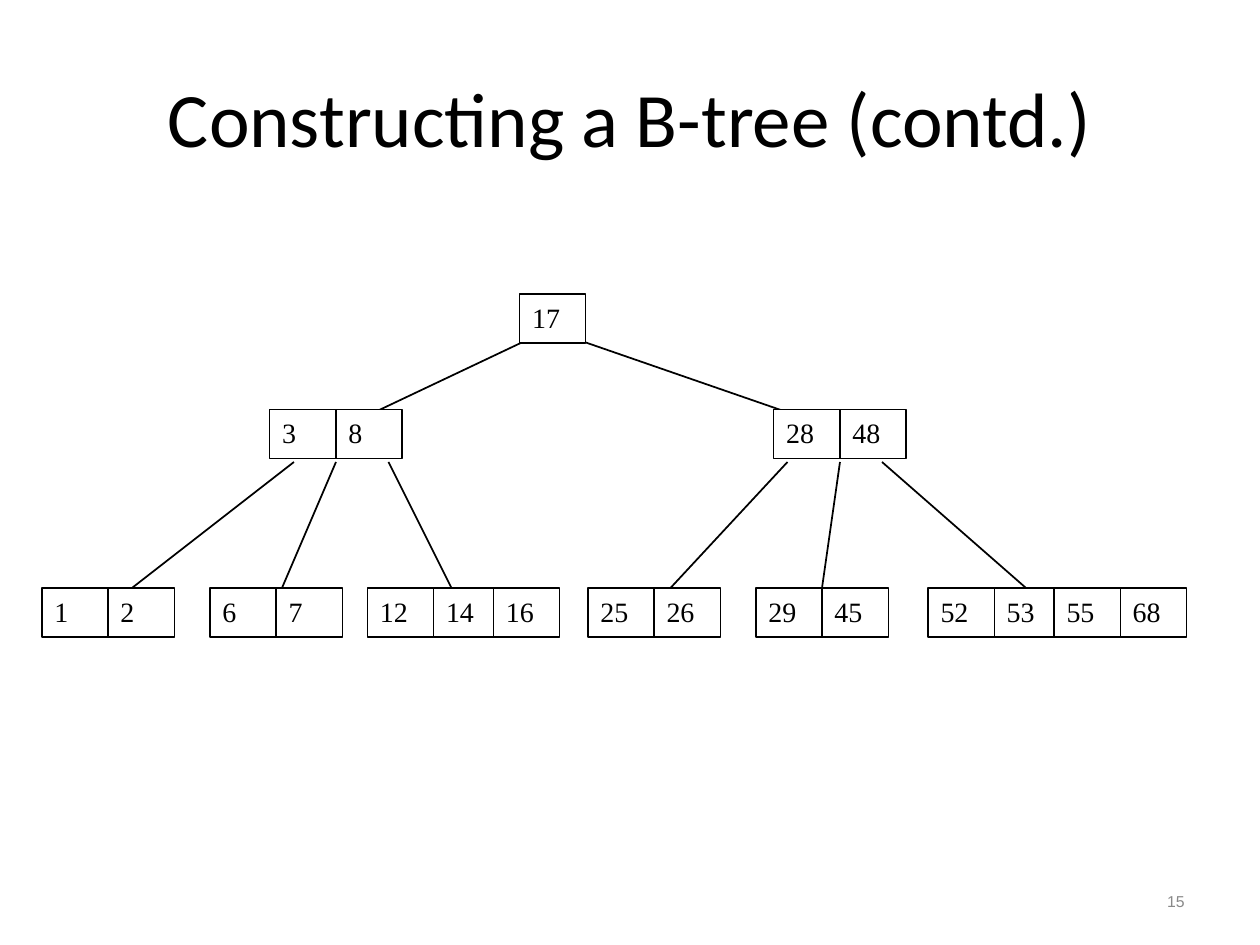
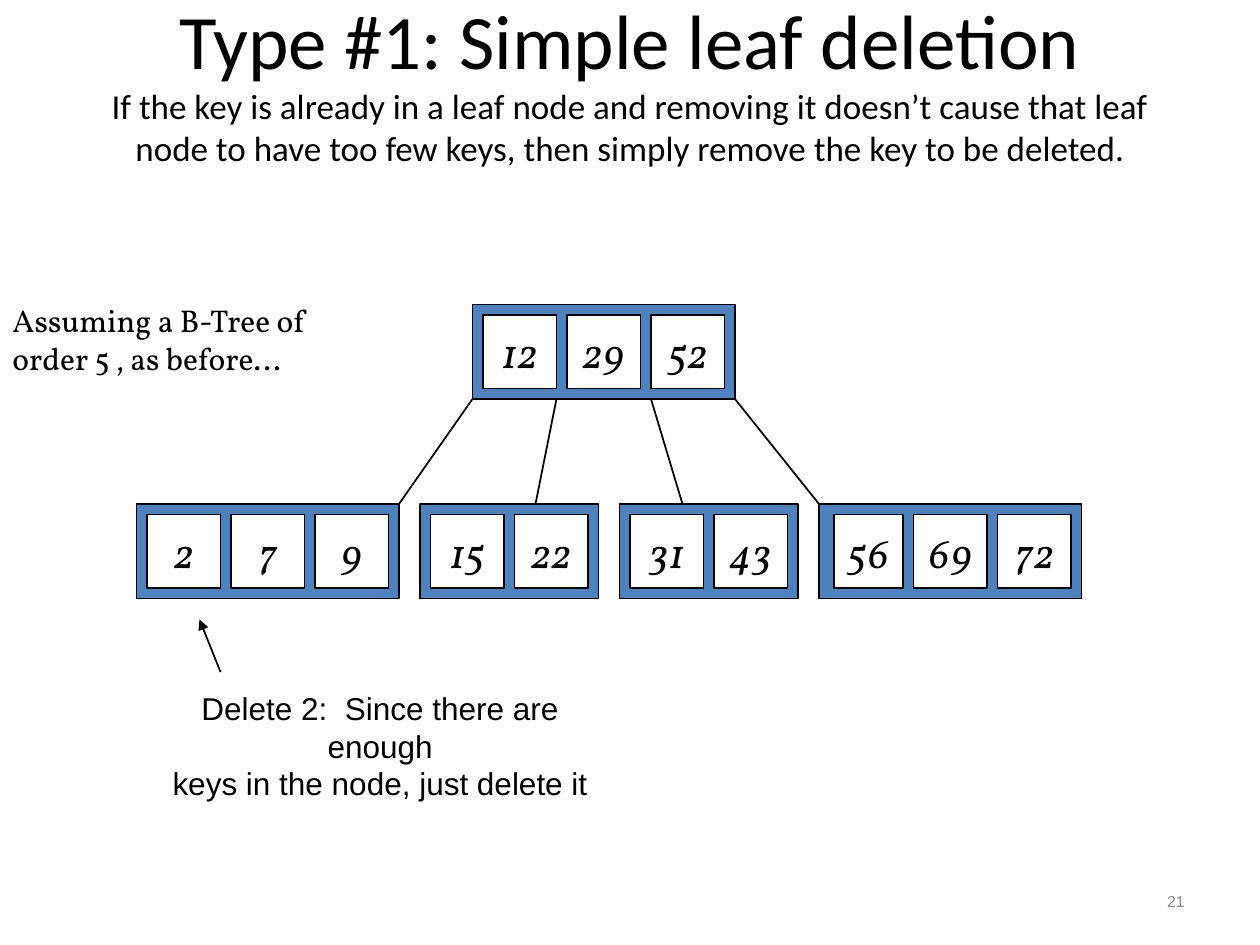
import dataclasses

import pptx
import pptx.dml.color
import pptx.enum.shapes
import pptx.enum.text
import pptx.oxml
import pptx.oxml.ns
import pptx.util

ALIGN = pptx.enum.text.PP_ALIGN
ANCHOR = pptx.enum.text.MSO_ANCHOR
RECTANGLE = pptx.enum.shapes.MSO_SHAPE.RECTANGLE
STRAIGHT = pptx.enum.shapes.MSO_CONNECTOR.STRAIGHT


@dataclasses.dataclass(frozen=True)
class Theme:
    ink: str = "000000"
    paper: str = "FFFFFF"
    frame: str = "4F81BD"
    muted: str = "898989"
    title_font: str = "Calibri"
    key_font: str = "Times New Roman"
    accent_font: str = "Vollkorn"
    plain_font: str = "Arial"
    title_size: int = 44
    subtitle_size: int = 20
    framed_key_size: int = 24
    note_size: int = 18
    key_size: int = 16
    number_size: int = 9
    line_width: float = 1
    cell_line_width: float = 0.75


THEME = Theme()

# The slide is a grid of 120 columns and 90 rows, 12 to the inch
COLUMNS, ROWS = 120, 90

# Plain nodes: keys stand in pairs, and pairs start every 12 columns
CELL_WIDTH, CELL_HEIGHT, PAIR_PITCH = 6.3, 4.67, 12

# Framed nodes: square keys with a gap of one unit around each
KEY_SIDE, KEY_GAP = 7, 1
KEY_PITCH = KEY_SIDE + KEY_GAP
FRAME_HEIGHT = KEY_SIDE + 2 * KEY_GAP


def grid(*units):
    return [pptx.util.Inches(unit / 12) for unit in units]


def color(value):
    return pptx.dml.color.RGBColor.from_string(value)


def format_runs(paragraph, font, size, ink=THEME.ink, italic=False):
    for run in paragraph.runs:
        run.font.name = font
        run.font.size = pptx.util.Pt(size)
        run.font.color.rgb = color(ink)
        run.font.italic = italic


def set_text(shape, text, font, size, align=ALIGN.LEFT, anchor=ANCHOR.MIDDLE,
             wrap=True, **style):
    frame = shape.text_frame
    frame.text = text
    frame.word_wrap = wrap
    frame.auto_size = pptx.enum.text.MSO_AUTO_SIZE.NONE
    frame.vertical_anchor = anchor
    for paragraph in frame.paragraphs:
        paragraph.alignment = align
        format_runs(paragraph, font, size, **style)


def add_text(slide, box, text, font, size, **style):
    set_text(slide.shapes.add_textbox(*grid(*box)), text, font, size, **style)


def add_box(shapes, box, fill, line_width=THEME.line_width):
    shape = shapes.add_shape(RECTANGLE, *grid(*box))
    shape.shadow.inherit = False
    shape.fill.solid()
    shape.fill.fore_color.rgb = color(fill)
    shape.line.color.rgb = color(THEME.ink)
    shape.line.width = pptx.util.Pt(line_width)
    return shape


def add_line(shapes, start, end, arrow=False):
    line = shapes.add_connector(STRAIGHT, *grid(*start, *end))
    line.line.color.rgb = color(THEME.ink)
    line.line.width = pptx.util.Pt(THEME.line_width)
    if arrow:
        head = pptx.oxml.parse_xml(
            f'<a:tailEnd {pptx.oxml.ns.nsdecls("a")} type="triangle"/>')
        line.line._get_or_add_ln().append(head)
    line._element.spPr.append(pptx.oxml.parse_xml(
        f'<a:effectLst {pptx.oxml.ns.nsdecls("a")}/>'))


def add_plain_node(shapes, left, top, keys):
    for index, key in enumerate(keys):
        pair, second = divmod(index, 2)
        cell_left = left + pair * PAIR_PITCH + second * CELL_WIDTH
        cell = add_box(shapes, (cell_left, top, CELL_WIDTH, CELL_HEIGHT),
                       THEME.paper, THEME.cell_line_width)
        set_text(cell, str(key), THEME.key_font, THEME.key_size,
                 anchor=ANCHOR.TOP, wrap=False)


def add_framed_node(shapes, left, top, keys, first_shift=0):
    width = len(keys) * KEY_PITCH + KEY_GAP
    add_box(shapes, (left, top, width, FRAME_HEIGHT), THEME.frame)
    for index, key in enumerate(keys):
        shift = first_shift if index == 0 else 0
        cell_left = left + KEY_GAP + index * KEY_PITCH + shift
        cell = add_box(shapes, (cell_left, top + KEY_GAP, KEY_SIDE - shift, KEY_SIDE),
                       THEME.paper)
        set_text(cell, str(key), THEME.accent_font, THEME.framed_key_size,
                 align=ALIGN.CENTER, wrap=False, italic=True)


def add_slide(presentation, title, number):
    slide = presentation.slides.add_slide(presentation.slide_layouts[5])
    heading = slide.shapes.title
    heading.left, heading.top, heading.width, heading.height = grid(6, 3.6, 108, 15)
    set_text(heading, title, THEME.title_font, THEME.title_size, align=ALIGN.CENTER)
    add_text(slide, (86, 83.4, 28, 4.8), str(number), THEME.plain_font,
             THEME.number_size, align=ALIGN.RIGHT, ink=THEME.muted)
    return slide


def build_construction_slide(presentation):
    slide = add_slide(presentation, "Constructing a B-tree (contd.)", 15)

    # Branches as (start column, end column) between two rows
    branches = {
        (44, 58): [(28, 10), (32, 26), (37, 44), (75, 62), (80, 78), (84, 100)],
        (32, 41): [(51, 32), (54, 80)],
    }
    for (top, bottom), columns in branches.items():
        for start, end in columns:
            add_line(slide.shapes, (start, top), (end, bottom))

    # Nodes by row, each with its left column
    levels = {
        28: {49.5: [17]},
        39: {25.7: [3, 8], 73.7: [28, 48]},
        56: {4: [1, 2], 20: [6, 7], 35: [12, 14, 16], 56: [25, 26],
             72: [29, 45], 88.4: [52, 53, 55, 68]},
    }
    for top, nodes in levels.items():
        for left, keys in nodes.items():
            add_plain_node(slide.shapes, left, top, keys)


def build_deletion_slide(presentation):
    slide = add_slide(
        presentation,
        "Type #1: Simple leaf deletion\vIf the key is already in a leaf node and "
        "removing it doesn’t cause that leaf node to have too few keys, then simply "
        "remove the key to be deleted.", 21)
    heading = slide.shapes.title.text_frame
    heading.margin_bottom = pptx.util.Inches(0.62)
    heading.paragraphs[0].runs[1].font.size = pptx.util.Pt(THEME.subtitle_size)

    # Tree: root, leaves and the branches between them
    tree = slide.shapes.add_group_shape().shapes
    root_top, leaf_top = 29, 48
    add_framed_node(tree, 45, root_top, [12, 29, 52])
    for left, keys in {13: [2, 7, 9], 40: [15, 22], 59: [31, 43]}.items():
        add_framed_node(tree, left, leaf_top, keys)
    add_framed_node(tree, 78, leaf_top, [56, 69, 72], first_shift=0.4)
    for start, end in [(45, 38), (53, 51), (62, 65), (70, 78)]:
        add_line(tree, (start, root_top + FRAME_HEIGHT), (end, leaf_top))

    # Notes and the arrow to the deleted key
    add_text(slide, (12.8, 66.8, 46.8, 8.4),
             "Delete 2:  Since there are enough\nkeys in the node, just delete it",
             THEME.plain_font, THEME.note_size, align=ALIGN.CENTER)
    add_line(slide.shapes, (21, 64), (19, 59), arrow=True)
    add_text(slide, (0, 27, 38, 10.5), "Assuming a B-Tree of order 5 , as before...",
             THEME.accent_font, THEME.note_size)


def main():
    presentation = pptx.Presentation()
    presentation.slide_width, presentation.slide_height = grid(COLUMNS, ROWS)
    build_construction_slide(presentation)
    build_deletion_slide(presentation)
    presentation.save("out.pptx")


if __name__ == "__main__":
    main()
